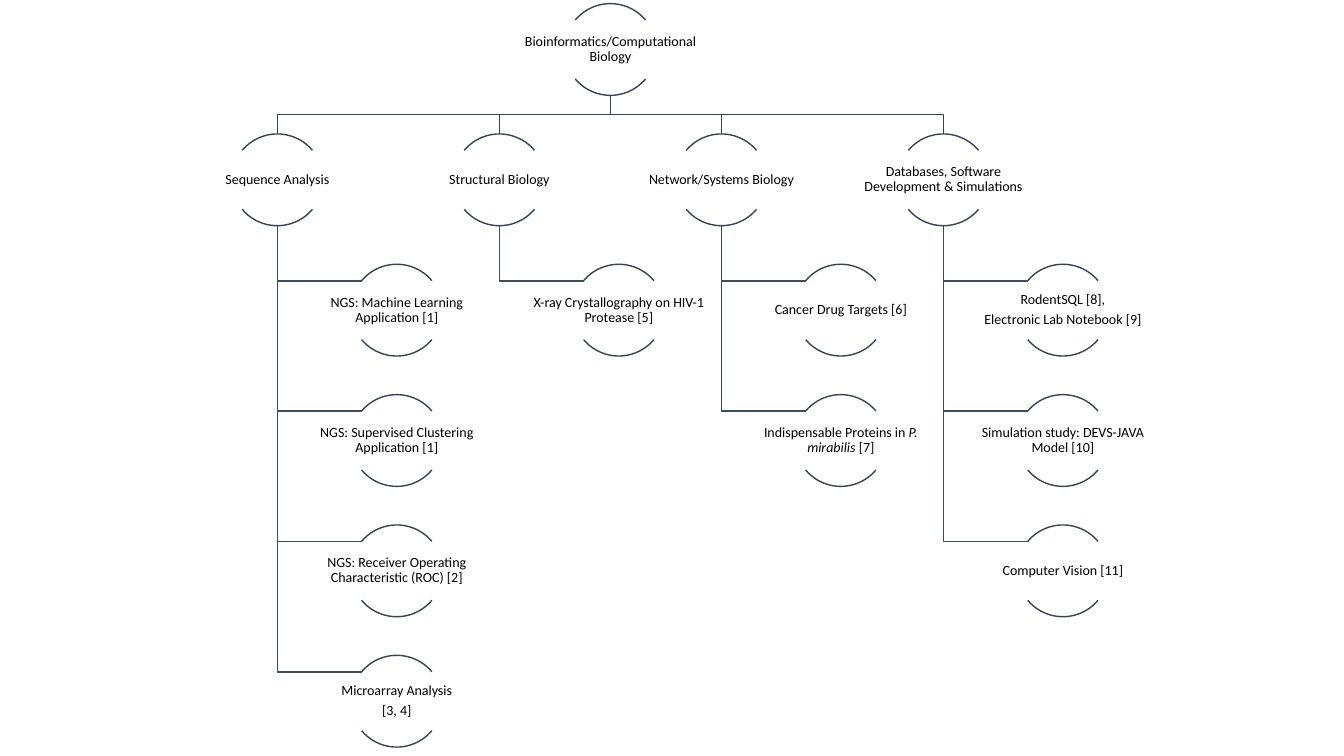
from pptx import Presentation
from pptx.dml.color import RGBColor
from pptx.enum.shapes import MSO_SHAPE
from pptx.enum.text import MSO_ANCHOR, PP_ALIGN
from pptx.util import Pt

DARK, SLATE, BLACK = "364355", "3E4C60", "000000"
LEFT, TOP = 198.1, 2.6
STEP, DROP, INSET = 158.6, 93.1, 85.3
SIZE, WIDE, HIGH = 65.5, 131, 41.9
REACH = 60.2
GAP = (SIZE - HIGH) / 2

ROOT = "Bioinformatics/Computational Biology"
TREE = {
    "Sequence Analysis": [
        "NGS: Machine Learning Application [1]",
        "NGS: Supervised Clustering Application [1]",
        "NGS: Receiver Operating Characteristic (ROC) [2]",
        "Microarray Analysis\n[3, 4]",
    ],
    "Structural Biology": ["X-ray Crystallography on HIV-1 Protease [5]"],
    "Network/Systems Biology": [
        "Cancer Drug Targets [6]",
        "Indispensable Proteins in *P. mirabilis* [7]",
    ],
    "Databases, Software Development & Simulations": [
        "RodentSQL [8],\nElectronic Lab Notebook [9]",
        "Simulation study: DEVS-JAVA Model [10]",
        "Computer Vision [11]",
    ],
}

FRAME = {"word_wrap": True, "vertical_anchor": MSO_ANCHOR.MIDDLE}
FRAME |= {f"margin_{side}": Pt(0.5) for side in ("left", "right", "top", "bottom")}
PARA = {"alignment": PP_ALIGN.CENTER, "line_spacing": 0.9, "space_after": Pt(3.5)}
FONT = {"name": "Calibri", "size": Pt(10)}


def paint(part, tone):
    part.fill.background()
    part.line.color.rgb = RGBColor.from_string(tone)
    part.line.width = Pt(1)
    part.shadow.inherit = False


def style(item, form):
    for key, value in form.items():
        setattr(item, key, value)


deck = Presentation()
deck.slide_width, deck.slide_height = Pt(960), Pt(540)
shapes = deck.slides.add_slide(deck.slide_layouts[6]).shapes

mid = LEFT + 1.5 * STEP
nodes = [(mid, TOP, ROOT)]
links = []
for col, (topic, works) in enumerate(TREE.items()):
    x, y = LEFT + col * STEP, TOP + DROP
    base, bend = TOP + SIZE, (TOP + SIZE + y) / 2
    nodes.append((x, y, topic))
    links.append((DARK, [(mid, base), (mid, bend), (x, bend), (x, y)]))
    for row, work in enumerate(works, 2):
        low = TOP + row * DROP
        nodes.append((x + INSET, low, work))
        turn = low + GAP
        links.append((SLATE, [(x, y + SIZE), (x, turn), (x + REACH, turn)]))

for tone, spots in reversed(links):
    start, *rest = [(Pt(x), Pt(y)) for x, y in spots]
    pen = shapes.build_freeform(*start)
    pen.add_line_segments(rest, close=False)
    paint(pen.convert_to_shape(), tone)

for x, y, text in nodes:
    for begin, end in ((132, 192), (24, 84)):
        arc = shapes.add_shape(MSO_SHAPE.ARC, Pt(x - SIZE / 2), Pt(y), Pt(SIZE), Pt(SIZE))
        arc.adjustments[0], arc.adjustments[1] = begin, end
        paint(arc, DARK)
    box = shapes.add_textbox(Pt(x - WIDE / 2), Pt(y + GAP), Pt(WIDE), Pt(HIGH))
    frame = box.text_frame
    style(frame, FRAME)
    for num, line in enumerate(text.split("\n")):
        para = frame.add_paragraph() if num else frame.paragraphs[0]
        style(para, PARA)
        for part, words in enumerate(line.split("*")):
            run = para.add_run()
            run.text = words
            style(run.font, FONT | {"italic": part == 1})
            run.font.color.rgb = RGBColor.from_string(BLACK)

deck.save("out.pptx")
